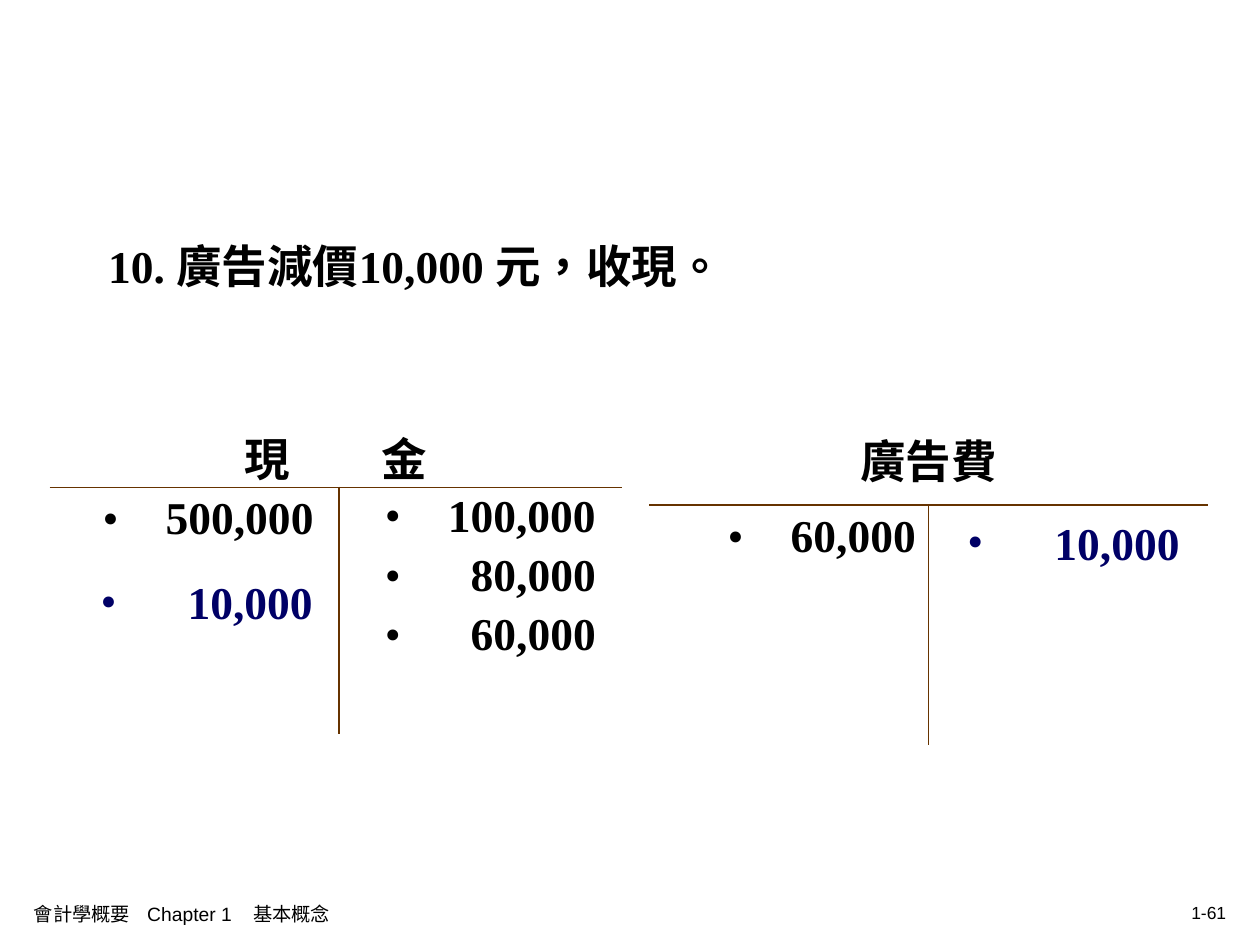
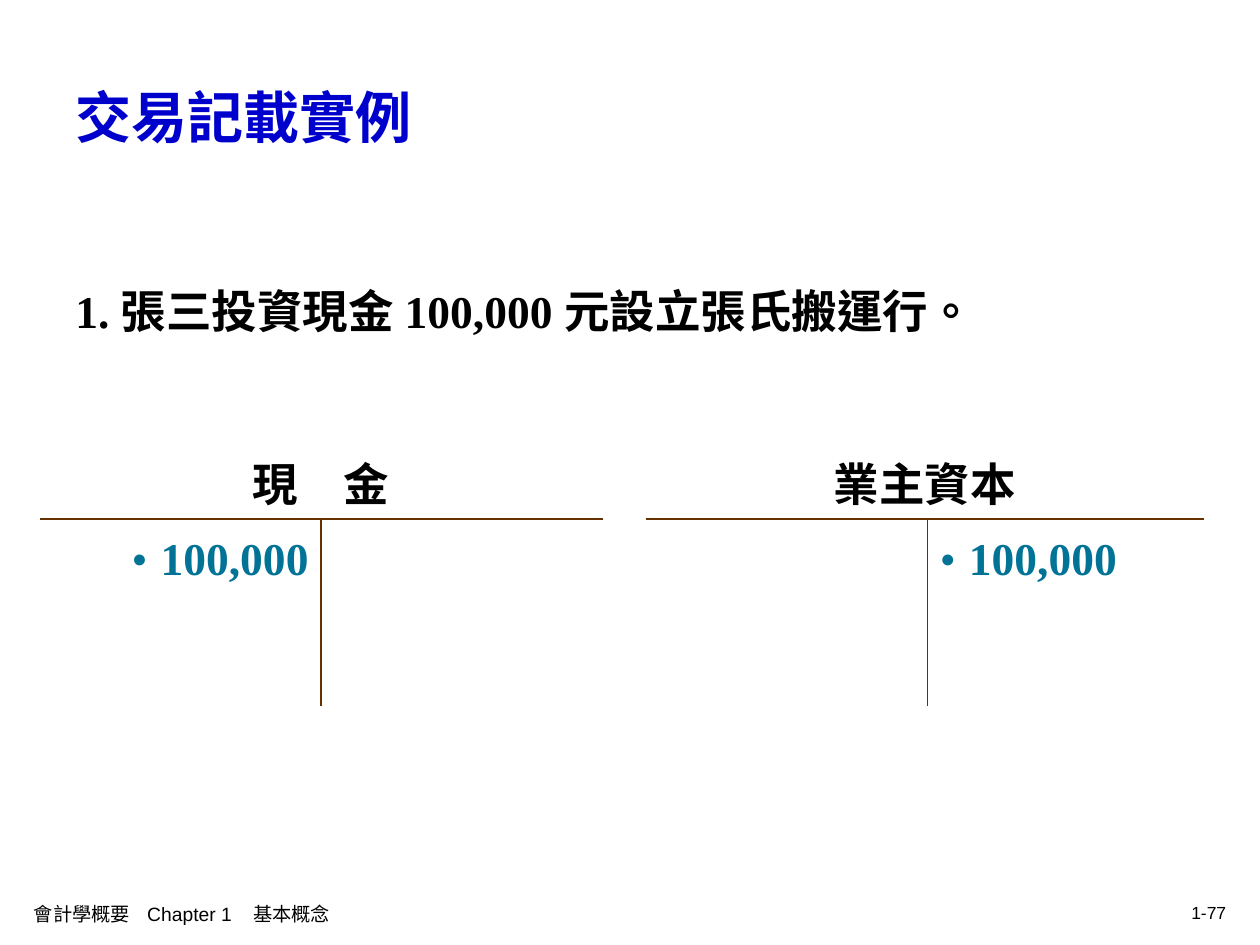
from lxml import etree
from pptx import Presentation
from pptx import util as u
from pptx.dml.color import RGBColor
from pptx.enum import text as t
from pptx.oxml import ns

COLORS = {"ink": "000000", "title": "0000CC", "rule": "663300",
          "entry": "000066", "opening": "007396"}
SERIF, SANS = "Times New Roman", "Arial"
LEFT, CENTER, RIGHT = t.PP_ALIGN.LEFT, t.PP_ALIGN.CENTER, t.PP_ALIGN.RIGHT
TOP, MIDDLE = t.MSO_ANCHOR.TOP, t.MSO_ANCHOR.MIDDLE
RULE_WIDTH = u.Pt(1.08)

BODY = {"size": 26, "name": SERIF, "bold": True, "color": "ink"}
TITLE = {**BODY, "size": 32, "color": "title"}
FOOTER = {"size": 11, "name": SANS, "bold": False, "color": "ink"}
PAGE_NUMBER = {**FOOTER, "size": 10}


# Text
def add_child(parent, tag, **values):
    child = etree.SubElement(parent, ns.qn(tag))
    for name, value in values.items():
        child.set(name, str(value))
    return child


def set_hanging(para, hang):
    props = para._p.get_or_add_pPr()
    props.set("marL", str(u.Inches(hang)))
    props.set("indent", str(-u.Inches(hang)))
    return props


def add_bullet(para, hang, color):
    props = set_hanging(para, hang)
    add_child(add_child(props, "a:buClr"), "a:srgbClr", val=COLORS[color])
    add_child(props, "a:buFont", typeface=SERIF)
    add_child(props, "a:buChar", char="•")


def add_tabs(para, stops):
    tabs = add_child(para._p.get_or_add_pPr(), "a:tabLst")
    for stop in stops:
        add_child(tabs, "a:tab", pos=u.Inches(stop), algn="l")


def add_span(para, words, style, tracking=0):
    span = para.add_run()
    span.text = words
    values = {"size": u.Pt(style["size"]), "name": style["name"], "bold": style["bold"]}
    for name, value in values.items():
        setattr(span.font, name, value)
    span.font.color.rgb = RGBColor.from_string(COLORS[style["color"]])
    props = span._r.get_or_add_rPr()
    props.set("lang", "zh-TW")
    if tracking:
        props.set("spc", str(tracking * 100))


def format_para(para, **values):
    for name, value in values.items():
        setattr(para, name, value)


def add_box(page, area, words, style, anchor=TOP, align=LEFT, spacing=1.0,
            hang=0, bullet=False, tabs=()):
    box = page.shapes.add_textbox(*map(u.Inches, area))
    frame = box.text_frame
    frame.word_wrap = True
    frame.vertical_anchor = anchor
    para = frame.paragraphs[0]
    if bullet:
        add_bullet(para, hang, style["color"])
    elif hang:
        set_hanging(para, hang)
    if tabs:
        add_tabs(para, tabs)
    format_para(para, alignment=align, line_spacing=spacing)
    add_span(para, words, style)


# T-accounts
def set_borders(cell, sides):
    props = cell._tc.get_or_add_tcPr()
    for place, side in enumerate(sides):
        line = etree.Element(ns.qn("a:ln" + side), w=str(RULE_WIDTH))
        fill = add_child(line, "a:solidFill")
        add_child(fill, "a:srgbClr", val=COLORS["rule"])
        props.insert(place, line)


def fill_side(cell, amounts, color, align, spacing):
    frame = cell.text_frame
    for place, (amount, hang) in enumerate(amounts):
        para = frame.add_paragraph() if place else frame.paragraphs[0]
        add_bullet(para, hang, color)
        format_para(para, alignment=align, line_spacing=spacing)
        if place:
            para.space_before = u.Pt(6.5)
        add_span(para, amount, {**BODY, "color": color})


def add_account(page, corner, widths, heights, name, debits=(), credits=(),
                color="ink", aligns=(RIGHT, RIGHT), spacings=(1.0, 1.0),
                name_spacing=1.0, side_inset=0.1, name_insets=(0.05, 0.05)):
    size = sum(widths), sum(heights)
    table = page.shapes.add_table(2, 2, *map(u.Inches, (*corner, *size))).table
    table.first_row = table.horz_banding = False
    for column, width in zip(table.columns, widths):
        column.width = u.Inches(width)
    for row, height in zip(table.rows, heights):
        row.height = u.Inches(height)
    for cell in table.iter_cells():
        cell.fill.background()
        cell.margin_left = cell.margin_right = u.Inches(side_inset)

    # Account name over both sides
    header = table.cell(0, 0)
    header.merge(table.cell(0, 1))
    header.vertical_anchor = MIDDLE
    header.margin_top, header.margin_bottom = map(u.Inches, name_insets)
    for column in range(2):
        set_borders(table.cell(0, column), "B")
    para = header.text_frame.paragraphs[0]
    format_para(para, alignment=CENTER, line_spacing=name_spacing)
    for words, tracking in name:
        add_span(para, words, BODY, tracking)

    # Debit and credit sides
    sides = zip((debits, credits), aligns, spacings, ("RT", "LT"))
    for column, (amounts, align, spacing, borders) in enumerate(sides):
        cell = table.cell(1, column)
        set_borders(cell, borders)
        fill_side(cell, amounts, color, align, spacing)


# Pages
def add_page(deck, number):
    page = deck.slides.add_slide(deck.slide_layouts[6])
    add_box(page, (0.17, 7.09, 4.47, 0.33), "會計學概要\tChapter 1\t基本概念",
            FOOTER, MIDDLE, tabs=(0.9, 1.74))
    add_box(page, (7.17, 7.08, 2.66, 0.33), number, PAGE_NUMBER, MIDDLE, RIGHT)
    return page


def add_transaction(page, area, words):
    add_box(page, area, words, BODY, spacing=1.2, hang=0.38)


def add_advertising_page(deck):
    page = add_page(deck, "1-61")
    add_transaction(page, (0.76, 1.75, 9.24, 0.81), "10. 廣告減價10,000 元，收現。")
    add_account(page, (0.4, 3.26), (2.29, 2.24), (0.61, 1.95),
                [("現　", 13), ("金", 0)],
                debits=[("500,000", 0.5)],
                credits=[("100,000", 0.5), ("80,000", 0.68), ("60,000", 0.68)],
                spacings=(1.0, 0.95), side_inset=0.2, name_insets=(0.1, 0))
    add_account(page, (5.16, 3.16), (2.21, 2.21), (0.85, 1.9), [("廣告費", 0)],
                debits=[("60,000", 0.5)], name_spacing=1.2)
    for left, top in ((0.7, 4.51), (7.58, 4.04)):
        add_box(page, (left, top, 1.99, 0.54), "10,000",
                {**BODY, "color": "entry"}, hang=0.69, bullet=True)


def add_investment_page(deck):
    page = add_page(deck, "1-77")
    add_box(page, (0.5, 0.3, 9, 1.25), "交易記載實例", TITLE, MIDDLE)
    add_transaction(page, (0.5, 2.11, 9, 4.59), "1. 張三投資現金 100,000 元設立張氏搬運行。")
    amounts = [("100,000", 0.23)]
    shared = {"heights": (0.61, 1.48), "color": "opening",
              "aligns": (RIGHT, LEFT), "spacings": (1.2, 1.2)}
    add_account(page, (0.32, 3.51), (2.23, 2.23), name=[("現　金", 0)],
                debits=amounts, **shared)
    add_account(page, (5.13, 3.51), (2.23, 2.19), name=[("業主資本", 0)],
                credits=amounts, **shared)


def main():
    deck = Presentation()
    deck.slide_width, deck.slide_height = u.Inches(10), u.Inches(7.5)
    add_advertising_page(deck)
    add_investment_page(deck)
    deck.save("out.pptx")


if __name__ == "__main__":
    main()
